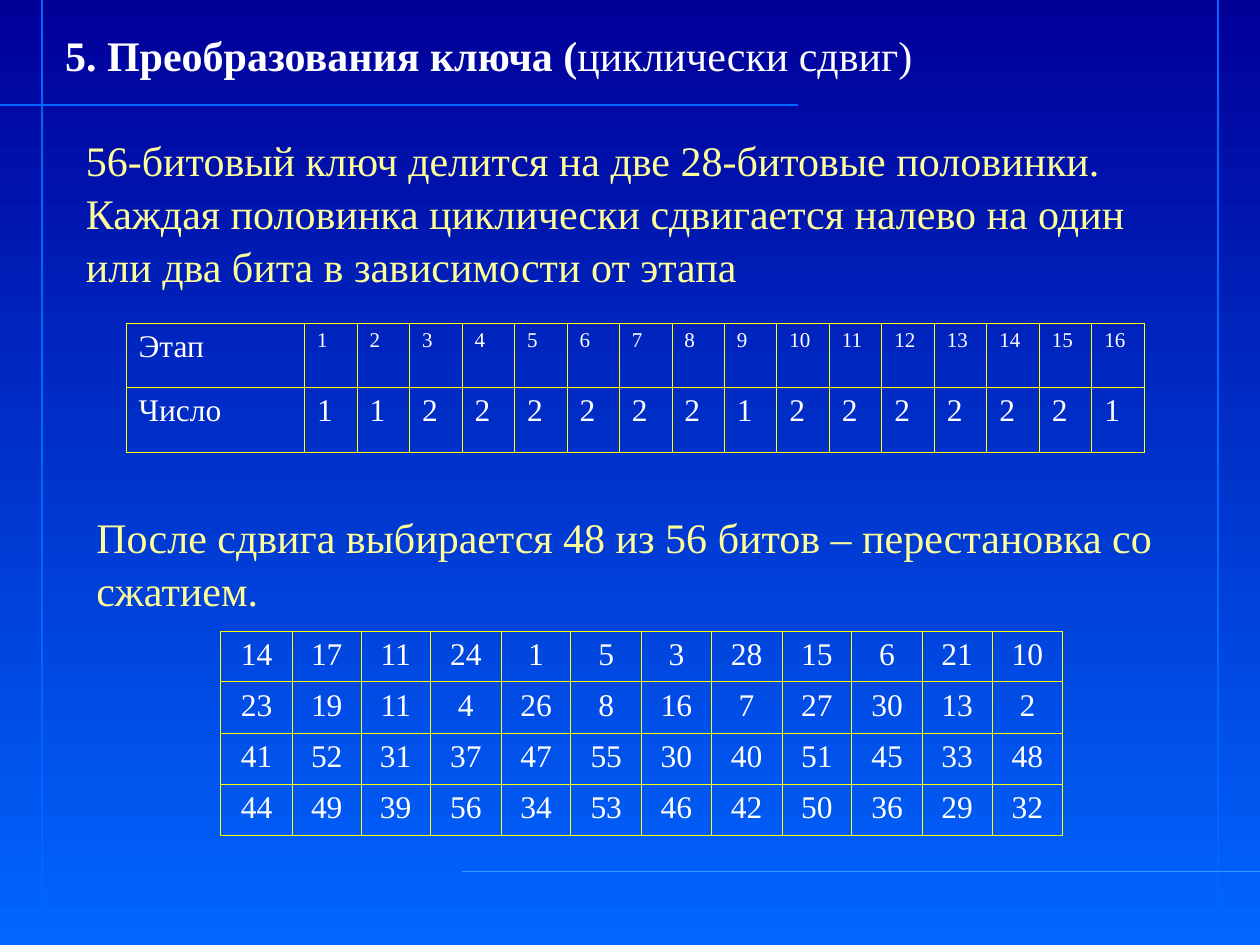
from typing import NamedTuple

from lxml.etree import SubElement
from pptx import Presentation
from pptx.dml.color import RGBColor
from pptx.enum.shapes import MSO_CONNECTOR
from pptx.enum.text import MSO_ANCHOR, MSO_AUTO_SIZE, PP_ALIGN
from pptx.oxml import parse_xml
from pptx.oxml.ns import nsdecls, qn
from pptx.util import Emu, Pt

NAVY = RGBColor(0x00, 0x00, 0x99)
BLUE = RGBColor(0x00, 0x66, 0xFF)
SKY = RGBColor(0x33, 0x99, 0xFF)
WHITE = RGBColor(0xFF, 0xFF, 0xFF)
CREAM = RGBColor(0xFF, 0xFF, 0x99)
YELLOW = RGBColor(0xFF, 0xFF, 0x00)
FONT = "Times New Roman"
WIDE, HIGH = 960, 720


class Box(NamedTuple):
    left: int
    top: int
    width: int
    height: int


class Rule(NamedTuple):
    start: tuple[int, int]
    end: tuple[int, int]
    color: RGBColor
    weight: float


class Grid(NamedTuple):
    left: int
    top: int
    cols: list[int]
    rows: list[int]
    cells: list[list[str]]
    align: PP_ALIGN


RULES = [
    Rule((32, 0), (32, HIGH), BLUE, 1),
    Rule((928, 0), (928, HIGH), BLUE, 1),
    Rule((0, 80), (608, 80), BLUE, 0.75),
    Rule((352, 664), (WIDE, 664), SKY, 1),
]


def px(count: int) -> Emu:
    return Emu(count * 9525)


def split(total: int, parts: int) -> list[int]:
    """Share a length among parts in whole px."""
    edges = [total * i // parts for i in range(parts + 1)]
    return [b - a for a, b in zip(edges, edges[1:])]


STAGES = Grid(
    96, 246, [136] + [40] * 16, split(99, 2),
    [["Этап"] + [str(n) for n in range(1, 17)],
     ["Число"] + "1 1 2 2 2 2 2 2 1 2 2 2 2 2 2 1".split()],
    PP_ALIGN.LEFT,
)
CHOICE = Grid(
    168, 481, [55, 52] + split(535, 10), split(155, 4),
    [row.split() for row in (
        "14 17 11 24 1 5 3 28 15 6 21 10",
        "23 19 11 4 26 8 16 7 27 30 13 2",
        "41 52 31 37 47 55 30 40 51 45 33 48",
        "44 49 39 56 34 53 46 42 50 36 29 32",
    )],
    PP_ALIGN.CENTER,
)


def write(frame, text: str, *, size: int = 24, color: RGBColor = WHITE,
          bold: bool = False, align: PP_ALIGN = PP_ALIGN.LEFT,
          lead: float = 1.0) -> None:
    """Add a run to the first paragraph of a frame."""
    par = frame.paragraphs[0]
    par.alignment = align
    par.space_before = Pt(0)
    par.line_spacing = lead
    run = par.add_run()
    run.text = text
    font = run.font
    font.name, font.size, font.bold = FONT, Pt(size), bold
    font.color.rgb = color


def place(shape, box: Box) -> None:
    shape.left, shape.top, shape.width, shape.height = map(px, box)
    frame = shape.text_frame
    frame.word_wrap = True
    frame.auto_size = MSO_AUTO_SIZE.SHAPE_TO_FIT_TEXT
    frame.vertical_anchor = MSO_ANCHOR.TOP


def note(slide, box: Box, text: str) -> None:
    shape = slide.shapes.add_textbox(*map(px, box))
    place(shape, box)
    write(shape.text_frame, text, color=CREAM, lead=1.05)


def draw(slide, rule: Rule) -> None:
    line = slide.shapes.add_connector(
        MSO_CONNECTOR.STRAIGHT, *map(px, rule.start + rule.end))
    line.line.color.rgb = rule.color
    line.line.width = Pt(rule.weight)
    SubElement(line._element.spPr, qn("a:effectLst"))


def edge(cell) -> None:
    """Outline a cell; borders precede the fill in its properties."""
    props = cell._tc.get_or_add_tcPr()
    for i, side in enumerate("LRTB"):
        props.insert(i, parse_xml(
            f'<a:ln{side} {nsdecls("a")} w="{Pt(0.45)}"><a:solidFill>'
            f'<a:srgbClr val="{YELLOW}"/></a:solidFill></a:ln{side}>'))


def table(slide, grid: Grid) -> None:
    shape = slide.shapes.add_table(
        len(grid.rows), len(grid.cols), px(grid.left), px(grid.top),
        px(sum(grid.cols)), px(sum(grid.rows)))
    body = shape.table
    body.first_row = body.horz_banding = False
    for col, width in zip(body.columns, grid.cols):
        col.width = px(width)
    for row, height in zip(body.rows, grid.rows):
        row.height = px(height)
    for r, line in enumerate(grid.cells):
        for c, text in enumerate(line):
            cell = body.cell(r, c)
            cell.fill.background()
            edge(cell)
            # Stage numbers are smaller than the rest
            small = grid is STAGES and r == 0 and c > 0
            write(cell.text_frame, text, size=12 if small else 18,
                  align=grid.align)


def main() -> None:
    deck = Presentation()
    deck.slide_width, deck.slide_height = px(WIDE), px(HIGH)
    slide = deck.slides.add_slide(deck.slide_layouts[5])

    # Background and frame lines
    fill = slide.background.fill
    fill.gradient()
    fill.gradient_angle = 270
    for stop, color in zip(fill.gradient_stops, (NAVY, BLUE)):
        stop.color.rgb = color
    for rule in RULES:
        draw(slide, rule)

    # Title
    title = slide.shapes.title
    place(title, Box(40, 16, 788, 48))
    write(title.text_frame, "5. Преобразования ключа (", bold=True, lead=1.05)
    write(title.text_frame, "циклически сдвиг)", lead=1.05)

    # Key shift
    note(slide, Box(56, 96, 864, 125),
         "56-битовый ключ делится на две 28-битовые половинки. Каждая "
         "половинка циклически сдвигается налево на один или два бита "
         "в зависимости от этапа")
    table(slide, STAGES)

    # Compressing permutation
    note(slide, Box(64, 383, 832, 86),
         "После сдвига выбирается 48 из 56 битов – перестановка со сжатием.")
    table(slide, CHOICE)

    deck.save("out.pptx")


if __name__ == "__main__":
    main()
